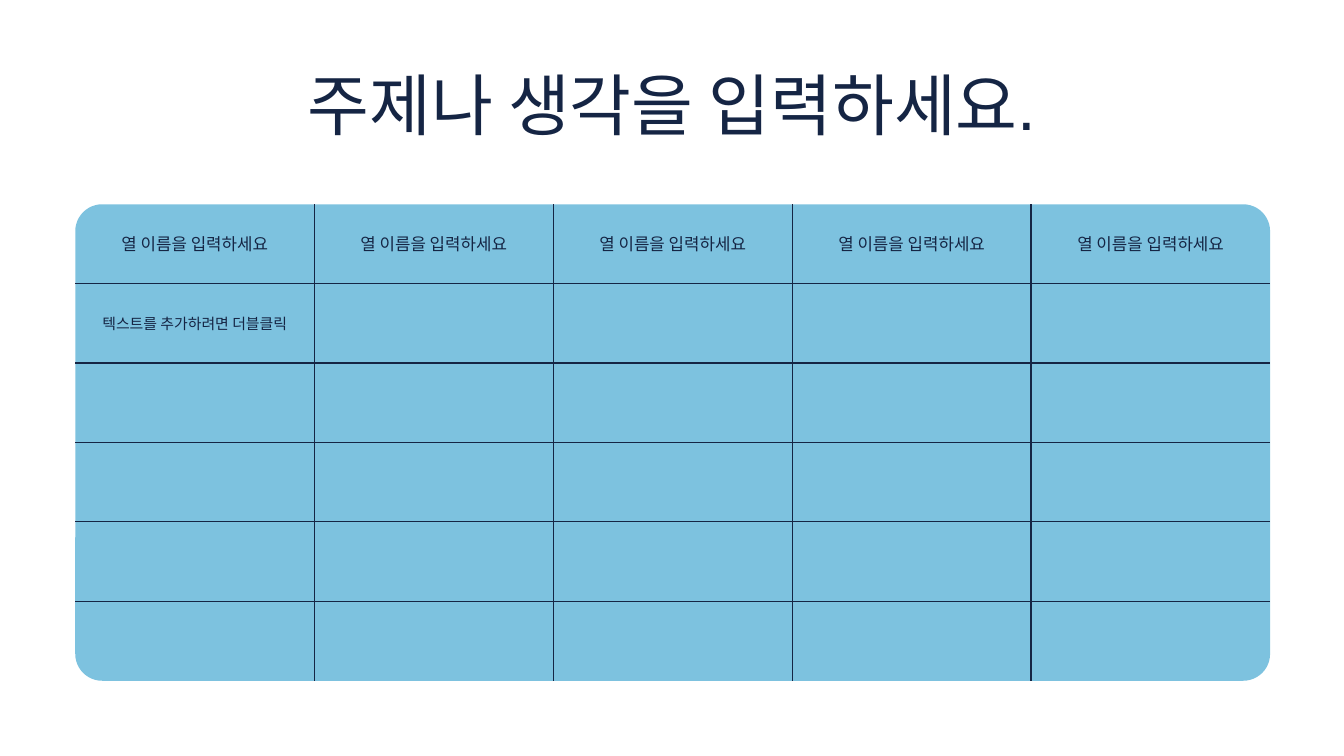
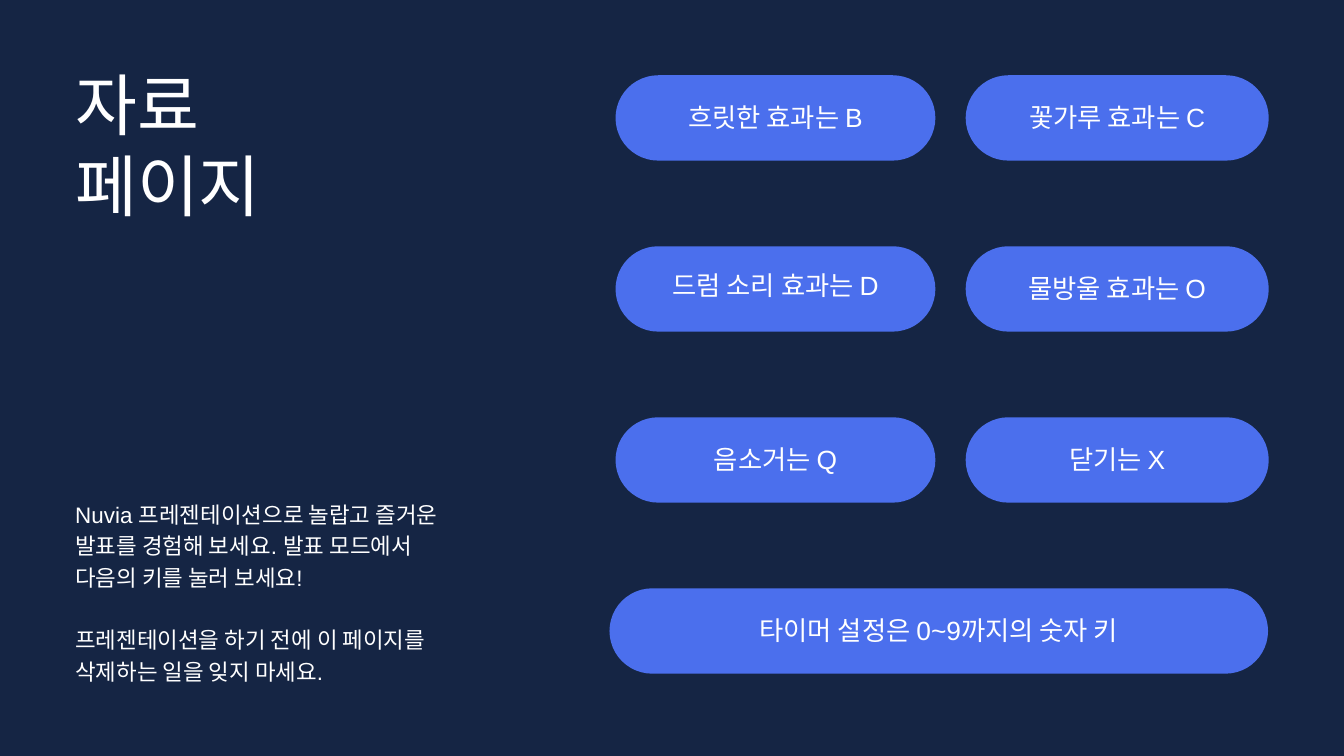
import lxml.etree
import pptx
import pptx.dml.color
import pptx.enum.shapes
import pptx.enum.text
import pptx.oxml.ns
import pptx.util

WIDTH, HEIGHT = 20, 11.25
MARGIN = 1.12
NAVY, WHITE, SKY, BLUE = "152544", "FFFFFF", "7DC2DF", "4B6FED"
FONT = "Arial"

TITLE = {"size": 72, "spacing": 86.4}
HEADING = {"size": 18, "spacing": 25.2}
HINT = {"size": 16, "spacing": 22.4}
KEY = {"size": 28.2, "spacing": 31}
BODY = {"size": 24, "spacing": 33.6}
LEFT = pptx.enum.text.PP_ALIGN.LEFT
CENTER = pptx.enum.text.PP_ALIGN.CENTER
MIDDLE = pptx.enum.text.MSO_ANCHOR.MIDDLE

TOPIC = ["주제나 생각을 입력하세요."]
COLUMN_NAME = "열 이름을 입력하세요"
CELL_HINT = "텍스트를 추가하려면 더블클릭"
COLUMNS, ROWS = 5, 6
TABLE_TOP, TABLE_WIDTH, TABLE_HEIGHT = 3.04, 17.78, 7.09
CARD_RADIUS = 0.4
CELL_INSET = 0.21

RESOURCES = ["자료", "페이지"]
GUIDE = [
    "Nuvia 프레젠테이션으로 놀랍고 즐거운 발표를 경험해 보세요. 발표 모드에서",
    "다음의 키를 눌러 보세요!",
    "프레젠테이션을 하기 전에 이 페이지를 삭제하는 일을 잊지 마세요.",
]
KEY_ROWS = [
    ["흐릿한 효과는 B", "꽃가루 효과는 C"],
    ["드럼 소리 효과는 D", "물방울 효과는 O"],
    ["음소거는 Q", "닫기는 X"],
    ["타이머 설정은 0~9까지의 숫자 키"],
]
RAISED_KEY = "드럼 소리 효과는 D"
KEY_PAIR = [(9.16, 4.76), (14.37, 4.51)]
KEY_WIDE = [(9.07, 9.8)]
KEY_HEIGHT, KEY_PITCH = 1.27, 2.545

inch = pptx.util.Inches


def color(value):
    return pptx.dml.color.RGBColor.from_string(value)


def write(frame, lines, style, ink, align):
    frame.word_wrap = True
    frame.text = "\n".join(lines)
    for paragraph in frame.paragraphs:
        paragraph.alignment = align
        paragraph.line_spacing = pptx.util.Pt(style["spacing"])
        for run in paragraph.runs:
            run.font.size = pptx.util.Pt(style["size"])
            run.font.name = FONT
            run.font.color.rgb = color(ink)


def set_insets(holder, inset):
    holder.margin_left = holder.margin_right = inch(inset)
    holder.margin_top = holder.margin_bottom = inch(inset)


def add_slide(deck, background):
    slide = deck.slides.add_slide(deck.slide_layouts[6])
    slide.background.fill.solid()
    slide.background.fill.fore_color.rgb = color(background)
    return slide


def add_text(slide, box, lines, style, ink, align=LEFT):
    frame = slide.shapes.add_textbox(*map(inch, box)).text_frame
    set_insets(frame, 0)
    write(frame, lines, style, ink, align)
    return frame


def add_rounded(slide, box, radius, fill):
    kind = pptx.enum.shapes.MSO_SHAPE.ROUNDED_RECTANGLE
    shape = slide.shapes.add_shape(kind, *map(inch, box))
    shape.adjustments[0] = radius / min(box[2:])
    shape.shadow.inherit = False
    shape.fill.solid()
    shape.fill.fore_color.rgb = color(fill)
    shape.line.fill.background()
    return shape


def set_border(cell, side, visible):
    qn = pptx.oxml.ns.qn
    properties = cell._tc.get_or_add_tcPr()
    line = lxml.etree.SubElement(properties, qn(f"a:ln{side}"))
    line.set("w", str(pptx.util.Pt(1.5 if visible else 0)))
    if visible:
        fill = lxml.etree.SubElement(line, qn("a:solidFill"))
        lxml.etree.SubElement(fill, qn("a:srgbClr")).set("val", NAVY)
    else:
        lxml.etree.SubElement(line, qn("a:noFill"))


def build_table_slide(deck):
    slide = add_slide(deck, WHITE)
    area = (MARGIN, TABLE_TOP, TABLE_WIDTH, TABLE_HEIGHT)
    add_rounded(slide, area, CARD_RADIUS, SKY)
    add_text(slide, (2.87, 0.94, 14.26, 1.21), TOPIC, TITLE, NAVY, CENTER)

    table = slide.shapes.add_table(ROWS, COLUMNS, *map(inch, area)).table
    table.first_row = table.horz_banding = False
    for row in range(ROWS):
        for column in range(COLUMNS):
            cell = table.cell(row, column)
            set_insets(cell, CELL_INSET)
            cell.vertical_anchor = MIDDLE
            inner = {
                "L": column > 0,
                "R": column < COLUMNS - 1,
                "T": row > 0,
                "B": row < ROWS - 1,
            }
            for side, visible in inner.items():
                set_border(cell, side, visible)
            cell.fill.background()
            if row == 0:
                write(cell.text_frame, [COLUMN_NAME], HEADING, NAVY, CENTER)
    write(table.cell(1, 0).text_frame, [CELL_HINT], HINT, NAVY, CENTER)


def build_keys_slide(deck):
    slide = add_slide(deck, NAVY)
    for row, labels in enumerate(KEY_ROWS):
        spans = KEY_PAIR if len(labels) == 2 else KEY_WIDE
        for label, (left, width) in zip(labels, spans):
            box = (left, MARGIN + row * KEY_PITCH, width, KEY_HEIGHT)
            pill = add_rounded(slide, box, KEY_HEIGHT / 2, BLUE)
            frame = pill.text_frame
            set_insets(frame, 0)
            frame.vertical_anchor = MIDDLE
            if label == RAISED_KEY:
                frame.margin_bottom = inch(0.08)
            write(frame, [label], KEY, WHITE, CENTER)

    add_text(slide, (MARGIN, 0.94, 5.53, 2.41), RESOURCES, TITLE, WHITE)
    guide = add_text(slide, (MARGIN, 7.39, 5.73, 2.82), GUIDE, BODY, WHITE)
    guide.paragraphs[-1].space_before = pptx.util.Pt(BODY["spacing"])


def main():
    deck = pptx.Presentation()
    deck.slide_width, deck.slide_height = inch(WIDTH), inch(HEIGHT)
    build_table_slide(deck)
    build_keys_slide(deck)
    deck.save("out.pptx")


if __name__ == "__main__":
    main()
